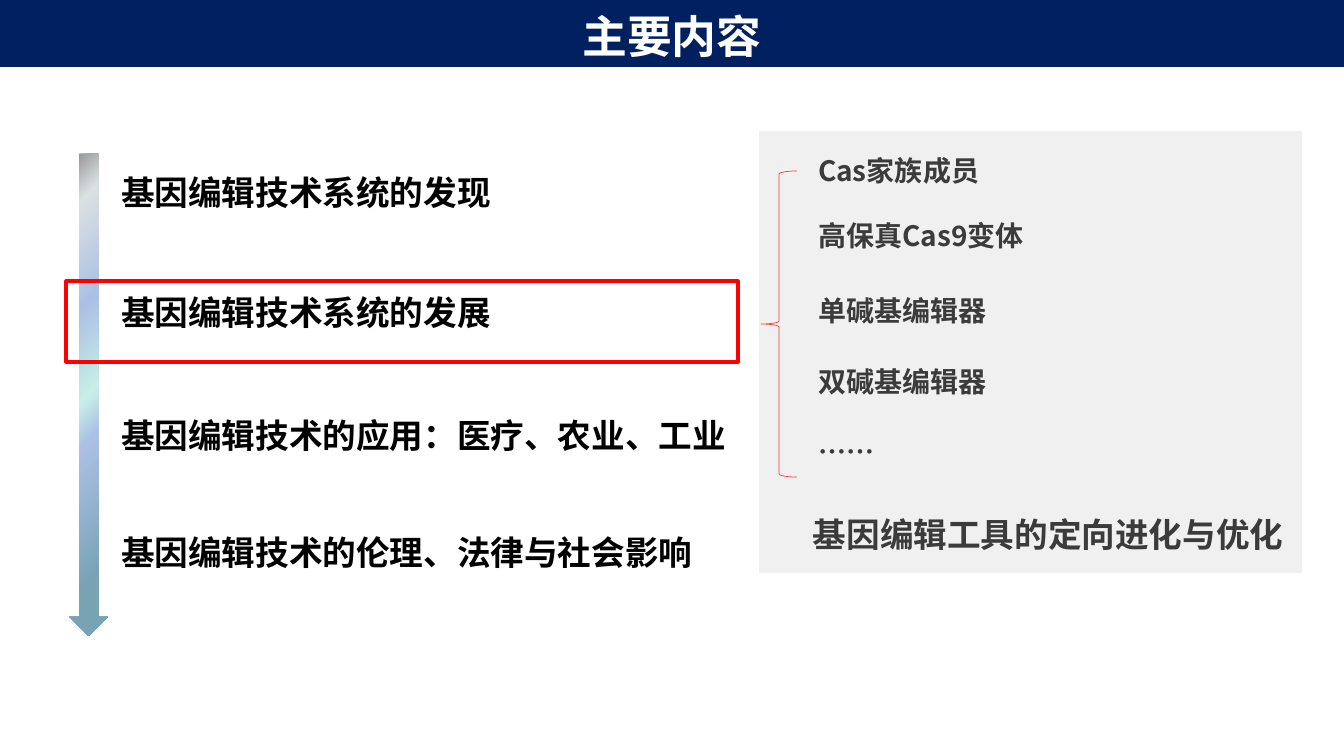
from lxml.etree import SubElement
from pptx import Presentation
from pptx.dml.color import RGBColor
from pptx.enum.shapes import MSO_SHAPE
from pptx.enum.text import MSO_ANCHOR, MSO_AUTO_SIZE, PP_ALIGN
from pptx.oxml import parse_xml
from pptx.oxml.ns import nsdecls, qn
from pptx.util import Pt

EMU_PER_PX = 914400 / 100.8
FONT = "Noto Sans CJK SC"
NAVY, RED, GREY = "002060", "FF0000", "D0CECE"
BLACK, WHITE = "000000", "FFFFFF"

# (text, points of space before)
TOPICS = [
    ("基因编辑技术系统的发现", 0),
    ("基因编辑技术系统的发展", 57),
    ("基因编辑技术的应用：医疗、农业、工业", 59),
    ("基因编辑技术的伦理、法律与社会影响", 55),
]
TOOLS = [
    ("Cas家族成员", 0),
    ("高保真Cas9变体", 23),
    ("单碱基编辑器", 29),
    ("双碱基编辑器", 27),
    ("……", 26),
]
ARROW_STOPS = [(13, "77A3B3"), (41, "ABC0E4"), (50, "C8EFE7"),
               (68, "ABC0E4"), (89, "DBE1E2"), (100, "8C8C8C")]


def px(length):
    return round(length * EMU_PER_PX)


def color(hex_code):
    return RGBColor.from_string(hex_code)


def set_all(target, values):
    for name, value in values.items():
        setattr(target, name, value)


class SlideBuilder:
    def __init__(self, slide):
        self.slide = slide
        self.shapes = slide.shapes

    def shape(self, kind, box, fill=None, line=None, line_width=1, opacity=100):
        shape = self.shapes.add_shape(kind, *map(px, box))
        shape.shadow.inherit = False
        if fill:
            shape.fill.solid()
            shape.fill.fore_color.rgb = color(fill)
            if opacity < 100:
                tint = shape._element.spPr.find(qn("a:solidFill")).find(qn("a:srgbClr"))
                SubElement(tint, qn("a:alpha"), val=str(opacity * 1000))
        else:
            shape.fill.background()
        if line:
            shape.line.color.rgb = color(line)
            shape.line.width = Pt(line_width)
        else:
            shape.line.fill.background()
        return shape

    def corner_gradient(self, shape, stops):
        """Fill a shape with a gradient that spreads from its lower right corner."""
        stop_xml = "".join(
            f'<a:gs pos="{position * 1000}"><a:srgbClr val="{tint}"/></a:gs>'
            for position, tint in stops)
        gradient = parse_xml(
            f'<a:gradFill {nsdecls("a")} rotWithShape="1"><a:gsLst>{stop_xml}</a:gsLst>'
            '<a:path path="circle"><a:fillToRect l="100000" t="100000"/></a:path>'
            '<a:tileRect r="-100000" b="-100000"/></a:gradFill>')
        properties = shape._element.spPr
        properties.replace(properties.find(qn("a:noFill")), gradient)

    def add_text(self, holder, items, size, ink=BLACK, **paragraph_format):
        frame = holder.text_frame
        set_all(frame, {"word_wrap": True, "auto_size": MSO_AUTO_SIZE.NONE,
                        "vertical_anchor": MSO_ANCHOR.TOP})
        for index, (text, gap) in enumerate(items):
            paragraph = frame.add_paragraph() if index else frame.paragraphs[0]
            properties = paragraph._p.get_or_add_pPr()
            set_all(paragraph, {"space_before": Pt(gap), "space_after": Pt(0),
                                **paragraph_format})
            if holder.is_placeholder:
                properties.set("marL", "0")
                properties.set("indent", "0")
                SubElement(properties, qn("a:buNone"))
            run = paragraph.add_run()
            run.text = text
            set_all(run.font, {"name": FONT, "size": Pt(size), "bold": True})
            run.font.color.rgb = color(ink)
            SubElement(run._r.get_or_add_rPr(), qn("a:ea"), typeface=FONT)

    def placeholder(self, number, box, items, size, **style):
        """Move a placeholder to the front at the given box and fill in its text."""
        holder = self.slide.placeholders[number]
        self.shapes._spTree.append(holder._element)
        set_all(holder, dict(zip(("left", "top", "width", "height"), map(px, box))))
        self.add_text(holder, items, size, **style)

    def text_box(self, box, text, size, **style):
        self.add_text(self.shapes.add_textbox(*map(px, box)), [(text, 0)], size, **style)


def main():
    deck = Presentation()
    deck.slide_width, deck.slide_height = px(1344), px(756)
    two_content = deck.slide_layouts[3]
    builder = SlideBuilder(deck.slides.add_slide(two_content))

    timeline = builder.shape(MSO_SHAPE.DOWN_ARROW, (70, 154, 38, 482))
    builder.corner_gradient(timeline, ARROW_STOPS)
    builder.placeholder(1, (111, 167, 701, 436), TOPICS, 24)

    builder.shape(MSO_SHAPE.RECTANGLE, (0, 0, 1344, 67), fill=NAVY)
    builder.placeholder(0, (0, 4, 1344, 64), [("主要内容", 0)], 32, ink=WHITE,
                        alignment=PP_ALIGN.CENTER)

    builder.shape(MSO_SHAPE.RECTANGLE, (66, 281, 672, 81), line=RED, line_width=2.25)
    builder.shape(MSO_SHAPE.LEFT_BRACE, (761, 171, 36, 306), line=RED, line_width=0.5)
    builder.placeholder(2, (808, 148, 425, 353), TOOLS, 20)
    builder.text_box((803, 489, 510, 64), "基因编辑工具的定向进化与优化", 24,
                     alignment=PP_ALIGN.JUSTIFY, line_spacing=1.5)
    builder.shape(MSO_SHAPE.RECTANGLE, (759, 131, 543, 442), fill=GREY, opacity=29)

    deck.save("out.pptx")


if __name__ == "__main__":
    main()
